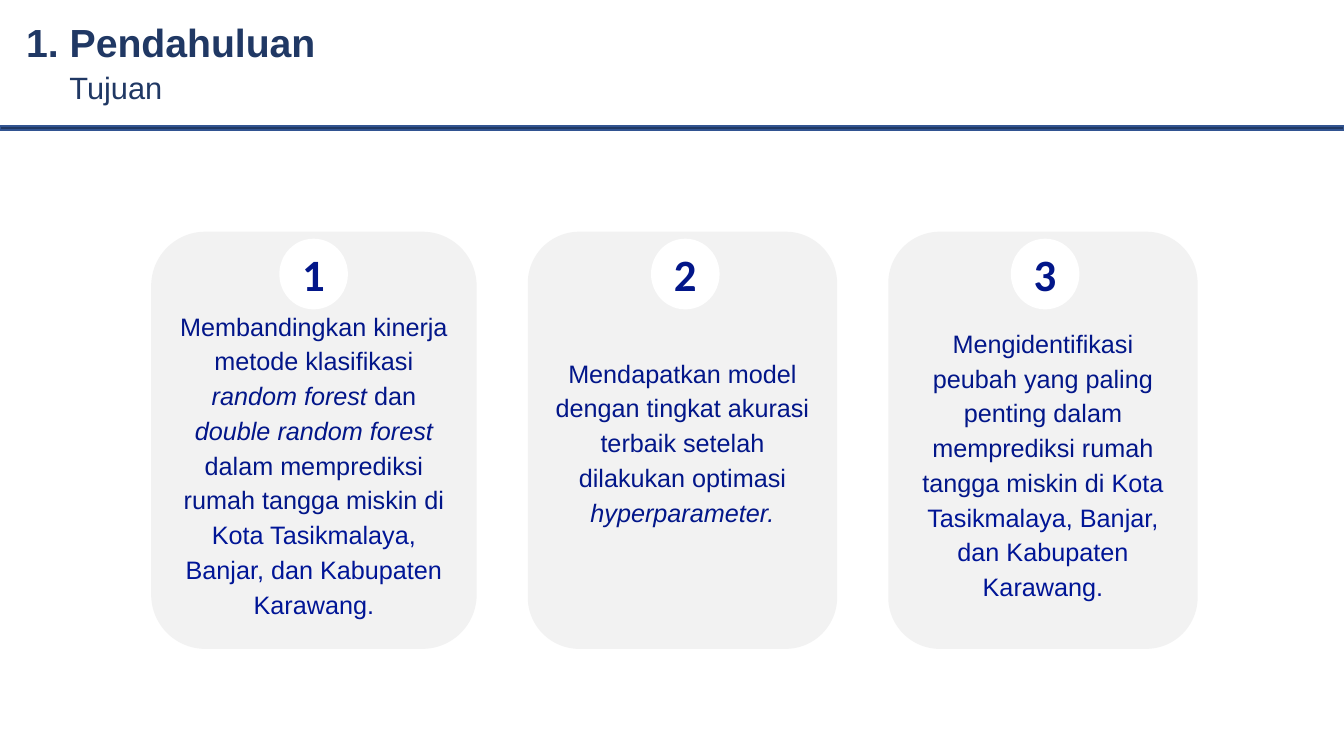
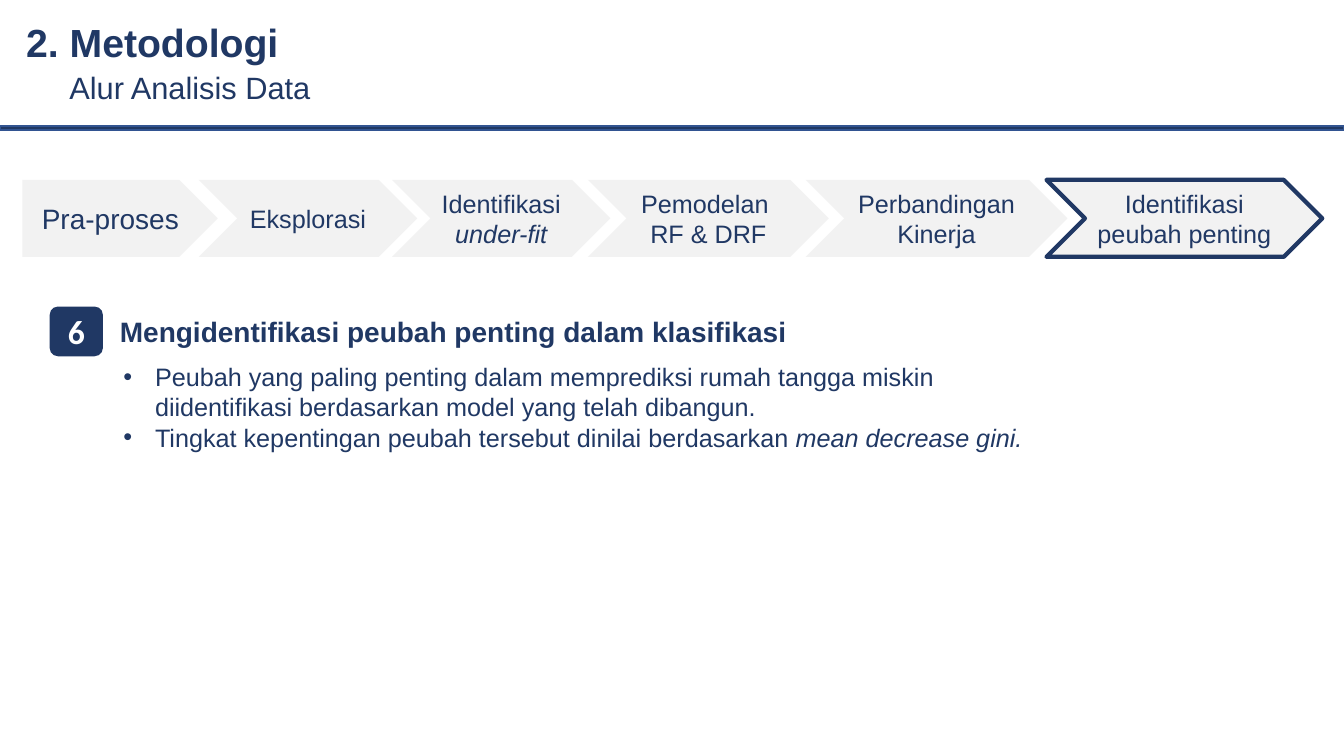
from collections import namedtuple
from dataclasses import dataclass

from pptx import Presentation
from pptx.dml.color import RGBColor
from pptx.enum.shapes import MSO_SHAPE as Shape
from pptx.enum.text import MSO_ANCHOR as Anchor, MSO_AUTO_SIZE as AutoSize, PP_ALIGN as Align
from pptx.util import Pt

Run = namedtuple("Run", "text italic color", defaults=(False, None))
TextStyle = namedtuple("TextStyle", "size color bold font", defaults=(False, "Arial"))


@dataclass(frozen=True)
class Theme:
    navy: str = "203864"
    rule_edge: str = "325491"
    panel: str = "F2F2F2"
    white: str = "FFFFFF"
    place: str = "001596"
    title: TextStyle = TextStyle(28, "203864", True)
    subtitle: TextStyle = TextStyle(22, "203864")
    heading: TextStyle = TextStyle(20, "203864", True)
    first_step: TextStyle = TextStyle(20, "203864")
    body: TextStyle = TextStyle(18, "203864")
    card: TextStyle = TextStyle(18, "021689")
    card_number: TextStyle = TextStyle(32, "021689", True, "Calibri")
    section_number: TextStyle = TextStyle(24, "FFFFFF", True, "Calibri")


class Deck:
    WIDTH, HEIGHT = 960, 540
    TITLE_ONLY, TITLE_AND_BODY = 5, 1

    def __init__(self, theme):
        self.theme = theme
        self.prs = Presentation()
        self.prs.slide_width, self.prs.slide_height = Pt(self.WIDTH), Pt(self.HEIGHT)
        self.slide = None

    def start(self, title, subtitle, layout):
        """Add a slide with its title, subtitle and rule."""
        self.slide = self.prs.slides.add_slide(self.prs.slide_layouts[layout])
        heading = self.slide.shapes.title
        self.place(heading, 11.5, 11.5, 234, 40.5)
        heading.text_frame.vertical_anchor = Anchor.MIDDLE
        self.add_text(heading.text_frame, [[Run(title)]], self.theme.title, spacing=0.9)
        self.shape(Shape.RECTANGLE, 0, 90, self.WIDTH, 3, self.theme.navy,
                   edge=(self.theme.rule_edge, 1))
        self.label(subtitle, 42.5, 45.5, 248, 34, self.theme.subtitle)

    def place(self, holder, left, top, width, height):
        holder.left, holder.top = Pt(left), Pt(top)
        holder.width, holder.height = Pt(width), Pt(height)

    def add_text(self, frame, paragraphs, style, align=Align.LEFT, spacing=1.0, after=0):
        """Fill a frame with paragraphs, each a list of runs."""
        frame.word_wrap = True
        frame.auto_size = AutoSize.NONE
        for index, runs in enumerate(paragraphs):
            paragraph = frame.add_paragraph() if index else frame.paragraphs[0]
            paragraph.alignment = align
            paragraph.line_spacing = spacing
            paragraph.space_before, paragraph.space_after = Pt(0), Pt(after)
            for run in runs:
                part = paragraph.add_run()
                part.text = run.text
                font = part.font
                font.name, font.size = style.font, Pt(style.size)
                font.bold, font.italic = style.bold, run.italic
                font.color.rgb = RGBColor.from_string(run.color or style.color)

    def label(self, words, left, top, width, height, style):
        box = self.slide.shapes.add_textbox(Pt(left), Pt(top), Pt(width), Pt(height))
        self.add_text(box.text_frame, [[Run(words)]], style)

    def shape(self, kind, left, top, width, height, fill, edge=None):
        shape = self.slide.shapes.add_shape(kind, Pt(left), Pt(top), Pt(width), Pt(height))
        shape.shadow.inherit = False
        shape.fill.solid()
        shape.fill.fore_color.rgb = RGBColor.from_string(fill)
        if edge:
            color, weight = edge
            shape.line.color.rgb = RGBColor.from_string(color)
            shape.line.width = Pt(weight)
        else:
            shape.line.fill.background()
        return shape

    def badge(self, kind, number, left, top, width, height, fill, style):
        badge = self.shape(kind, left, top, width, height, fill)
        self.add_text(badge.text_frame, [[Run(str(number))]], style, Align.CENTER)

    def card(self, left, width, runs, headroom):
        """Add a rounded card; headroom pushes its text below the number."""
        card = self.shape(Shape.ROUNDED_RECTANGLE, left, 165.5, width, 298, self.theme.panel)
        card.text_frame.margin_top = Pt(3.6 + headroom)
        self.add_text(card.text_frame, [runs], self.theme.card, Align.CENTER, 1.15, 10)

    def step(self, kind, left, width, paragraphs, style, current):
        edge = (self.theme.navy, 3) if current else None
        step = self.shape(kind, left, 128.5, width, 55, self.theme.panel, edge)
        self.add_text(step.text_frame, paragraphs, style, Align.CENTER)

    def bullets(self, paragraphs, left, top, width, height):
        body = self.slide.placeholders[1]
        self.place(body, left, top, width, height)
        self.add_text(body.text_frame, paragraphs, self.theme.body)
        for paragraph in body.text_frame.paragraphs:
            properties = paragraph._p.get_or_add_pPr()
            properties.set("marL", str(Pt(22.5)))
            properties.set("indent", str(-Pt(22.5)))


def build_goals(deck):
    theme = deck.theme
    deck.start("1. Pendahuluan", "Tujuan", deck.TITLE_ONLY)
    places = Run("Kota Tasikmalaya, Banjar, dan Kabupaten Karawang.", color=theme.place)
    goals = [
        (232.5, 199.5, 32, [
            Run("Membandingkan kinerja metode klasifikasi "),
            Run("random forest", True),
            Run(" dan "),
            Run("double random forest ", True),
            Run("dalam memprediksi rumah tangga miskin di "),
            places]),
        (221, 465, 0, [
            Run("Mendapatkan model dengan tingkat akurasi terbaik setelah dilakukan optimasi "),
            Run("hyperparameter.", True)]),
        (221, 722, 32, [
            Run("Mengidentifikasi peubah yang paling penting dalam memprediksi "
                "rumah tangga miskin di "),
            places]),
    ]
    left, gap = 108, 36.5
    for number, (width, badge_left, headroom, runs) in enumerate(goals, 1):
        deck.card(left, width, runs, headroom)
        deck.badge(Shape.OVAL, number, badge_left, 170.5, 49, 50.5,
                   theme.white, theme.card_number)
        left += width + gap


def build_workflow(deck):
    theme = deck.theme
    deck.start("2. Metodologi", "Alur Analisis Data", deck.TITLE_AND_BODY)
    steps = [
        (16, 139.5, [[Run("Pra-proses")]]),
        (142, 156, [[Run("Eksplorasi")]]),
        (280, 156, [[Run("Identifikasi "), Run("under-fit", True)]]),
        (420, 172, [[Run("Pemodelan ")], [Run("RF & DRF")]]),
        (575.5, 187, [[Run("Perbandingan Kinerja")]]),
        (747.5, 197, [[Run("Identifikasi peubah penting")]]),
    ]
    for number, (left, width, label) in enumerate(steps, 1):
        first = number == 1
        deck.step(Shape.PENTAGON if first else Shape.CHEVRON, left, width, label,
                  theme.first_step if first else theme.body, number == len(steps))

    deck.badge(Shape.ROUNDED_RECTANGLE, len(steps), 35.5, 219, 38, 35.5,
               theme.navy, theme.section_number)
    deck.label("Mengidentifikasi peubah penting dalam klasifikasi",
               78.5, 221, 649.5, 31.5, theme.heading)
    deck.bullets([
        [Run("Peubah yang paling penting dalam memprediksi rumah tangga miskin "
             "diidentifikasi berdasarkan model yang telah dibangun.")],
        [Run("Tingkat kepentingan peubah tersebut dinilai berdasarkan "),
         Run("mean decrease gini.", True)],
    ], 81, 254.5, 685.5, 72.5)


def main():
    deck = Deck(Theme())
    build_goals(deck)
    build_workflow(deck)
    deck.prs.save("out.pptx")


if __name__ == "__main__":
    main()
